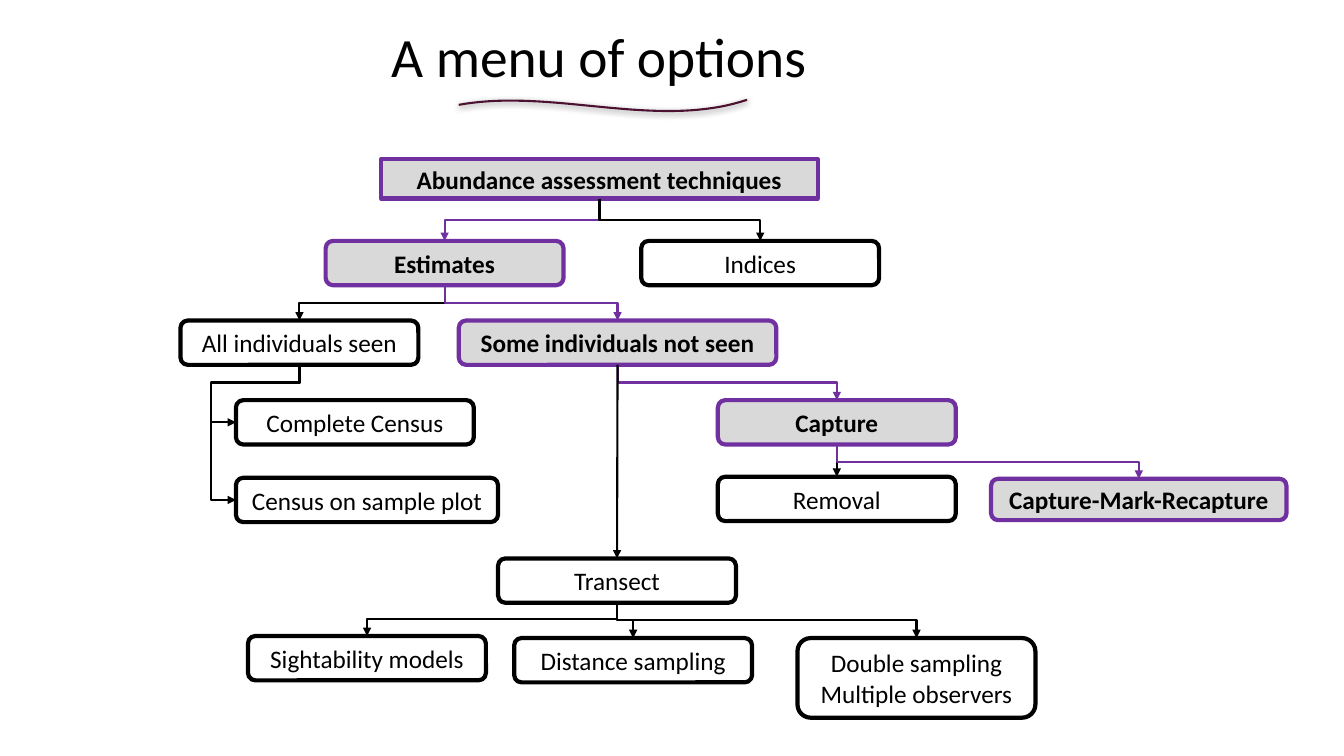
import dataclasses

import lxml.etree
import pptx
import pptx.dml.color
import pptx.enum.shapes
import pptx.enum.text
import pptx.oxml.ns
import pptx.util

EMU_PER_PX = 9144
FONT = "Calibri"
BLACK = "000000"
PURPLE = "7030A0"
GREY = "D9D9D9"
PLUM = "4C1130"
TOP, LEFT, BOTTOM = 0, 1, 2

Shapes = pptx.enum.shapes.MSO_SHAPE
Connectors = pptx.enum.shapes.MSO_CONNECTOR
Align = pptx.enum.text.PP_ALIGN
qn = pptx.oxml.ns.qn


@dataclasses.dataclass(frozen=True)
class Technique:
    label: str
    left: int
    top: int
    width: int = 236
    height: int = 44
    chosen: bool = False
    outline: Shapes = Shapes.FLOWCHART_ALTERNATE_PROCESS


@dataclasses.dataclass(frozen=True)
class Branch:
    parent: str
    child: str
    color: str = BLACK
    side: int = TOP
    straight: bool = False
    bends: tuple[int, ...] = ()


TECHNIQUES = [
    Technique("Abundance assessment techniques", 378, 158, 433, 39, True,
              Shapes.FLOWCHART_PROCESS),
    Technique("Estimates", 323, 239, chosen=True),
    Technique("Indices", 636, 239),
    Technique("All individuals seen", 179, 318),
    Technique("Some individuals not seen", 455, 318, 315, chosen=True),
    Technique("Complete Census", 234, 397),
    Technique("Census on sample plot", 234, 474, 260),
    Technique("Capture", 712, 397, chosen=True),
    Technique("Capture-Mark-Recapture", 983, 475, 293, 41, True),
    Technique("Removal", 712, 473),
    Technique("Transect", 494, 554),
    Technique("Sightability models", 246, 631),
    Technique("Distance sampling", 510, 633),
    Technique("Double sampling\nMultiple observers", 791, 633, height=79),
]

BRANCHES = [
    Branch("Abundance assessment techniques", "Estimates", PURPLE),
    Branch("Abundance assessment techniques", "Indices"),
    Branch("Estimates", "All individuals seen"),
    Branch("Estimates", "Some individuals not seen", PURPLE),
    Branch("All individuals seen", "Complete Census", side=LEFT, bends=(30800, 139700)),
    Branch("All individuals seen", "Census on sample plot", side=LEFT, bends=(13200, 139700)),
    Branch("Some individuals not seen", "Capture", PURPLE),
    Branch("Capture", "Removal", straight=True),
    Branch("Capture", "Capture-Mark-Recapture", PURPLE),
    Branch("Some individuals not seen", "Transect", straight=True),
    Branch("Transect", "Sightability models"),
    Branch("Transect", "Distance sampling"),
    Branch("Transect", "Double sampling\nMultiple observers"),
]


def px(length: float) -> int:
    return round(length * EMU_PER_PX)


def paint(color_format, color: str) -> None:
    color_format.rgb = pptx.dml.color.RGBColor.from_string(color)


def draw_line(line, color: str, points: float) -> None:
    line.fill.solid()
    paint(line.fill.fore_color, color)
    line.width = pptx.util.Pt(points)


def write(frame, text: str, size: float, align: Align, bold: bool = False) -> None:
    frame.word_wrap = True
    frame.vertical_anchor = pptx.enum.text.MSO_ANCHOR.MIDDLE
    paragraph = frame.paragraphs[0]
    paragraph.alignment = align
    for number, line in enumerate(text.split("\n")):
        if number:
            paragraph.add_line_break()
        run = paragraph.add_run()
        run.text = line
        run.font.name = FONT
        run.font.size = pptx.util.Pt(size)
        run.font.bold = bold
        paint(run.font.color, BLACK)


def add_title(slide, text: str) -> None:
    title = slide.shapes.title
    title.left, title.top, title.width, title.height = map(px, (378, 25, 445, 68))
    write(title.text_frame, text, 39.6, Align.LEFT)
    title.text_frame.auto_size = pptx.enum.text.MSO_AUTO_SIZE.NONE
    title.text_frame.paragraphs[0].line_spacing = 0.9


def add_technique(slide, technique: Technique):
    box = slide.shapes.add_shape(technique.outline, px(technique.left), px(technique.top),
                                 px(technique.width), px(technique.height))
    box.shadow.inherit = False
    if technique.chosen:
        box.fill.solid()
        paint(box.fill.fore_color, GREY)
    else:
        box.fill.background()
    draw_line(box.line, PURPLE if technique.chosen else BLACK, 3)
    write(box.text_frame, technique.label, 18, Align.CENTER, technique.chosen)
    return box


def bend_downward(connector, bends: tuple[int, ...]) -> None:
    start_x, start_y = connector.begin_x, connector.begin_y
    run, drop = connector.end_x - start_x, connector.end_y - start_y
    connector.width, connector.height = drop, abs(run)
    connector.left = start_x + (run - drop) // 2
    connector.top = start_y + (drop - abs(run)) // 2
    properties = connector._element.spPr
    frame = properties.find(qn("a:xfrm"))
    for flip in ("flipH", "flipV"):
        frame.attrib.pop(flip, None)
    frame.set("rot", "16200000" if run > 0 else "5400000")
    if run > 0:
        frame.set("flipH", "1")
    if bends:
        geometry = properties.find(qn("a:prstGeom"))
        geometry.set("prst", f"bentConnector{len(bends) + 2}")
        guides = geometry.find(qn("a:avLst"))
        for number, bend in enumerate(bends, 1):
            lxml.etree.SubElement(guides, qn("a:gd"), name=f"adj{number}", fmla=f"val {bend}")


def add_branch(slide, branch: Branch, boxes: dict) -> None:
    kind = Connectors.STRAIGHT if branch.straight else Connectors.ELBOW
    connector = slide.shapes.add_connector(kind, 0, 0, 0, 0)
    connector.begin_connect(boxes[branch.parent], BOTTOM)
    connector.end_connect(boxes[branch.child], branch.side)
    if not branch.straight:
        bend_downward(connector, branch.bends)
    draw_line(connector.line, branch.color, 1.5)
    lxml.etree.SubElement(connector.line._get_or_add_ln(), qn("a:tailEnd"), type="triangle")
    lxml.etree.SubElement(connector._element.spPr, qn("a:effectLst"))


def add_title_wave(slide, steps: int = 40) -> None:
    controls = [(455, 104), (549, 87), (651, 129), (741, 99)]
    points = []
    for step in range(steps + 1):
        t = step / steps
        weights = ((1 - t) ** 3, 3 * t * (1 - t) ** 2, 3 * t ** 2 * (1 - t), t ** 3)
        points.append(tuple(px(sum(w * control[axis] for w, control in zip(weights, controls)))
                            for axis in (0, 1)))
    builder = slide.shapes.build_freeform(*points[0])
    builder.add_line_segments(points[1:], close=False)
    wave = builder.convert_to_shape()
    wave.fill.background()
    draw_line(wave.line, PLUM, 1.5)
    wave.shadow.inherit = False
    effects = wave._element.spPr.find(qn("a:effectLst"))
    shadow = lxml.etree.SubElement(effects, qn("a:outerShdw"), blurRad="57150", dist="19050",
                                   dir="5400000", algn="bl", rotWithShape="0")
    shade = lxml.etree.SubElement(shadow, qn("a:srgbClr"), val=BLACK)
    lxml.etree.SubElement(shade, qn("a:alpha"), val="50000")


def main() -> None:
    deck = pptx.Presentation()
    deck.slide_width, deck.slide_height = px(1333), px(750)
    slide = deck.slides.add_slide(deck.slide_layouts.get_by_name("Title Only"))
    add_title(slide, "A menu of options")
    boxes = {technique.label: add_technique(slide, technique) for technique in TECHNIQUES}
    for branch in BRANCHES:
        add_branch(slide, branch, boxes)
    add_title_wave(slide)
    deck.save("out.pptx")


if __name__ == "__main__":
    main()
